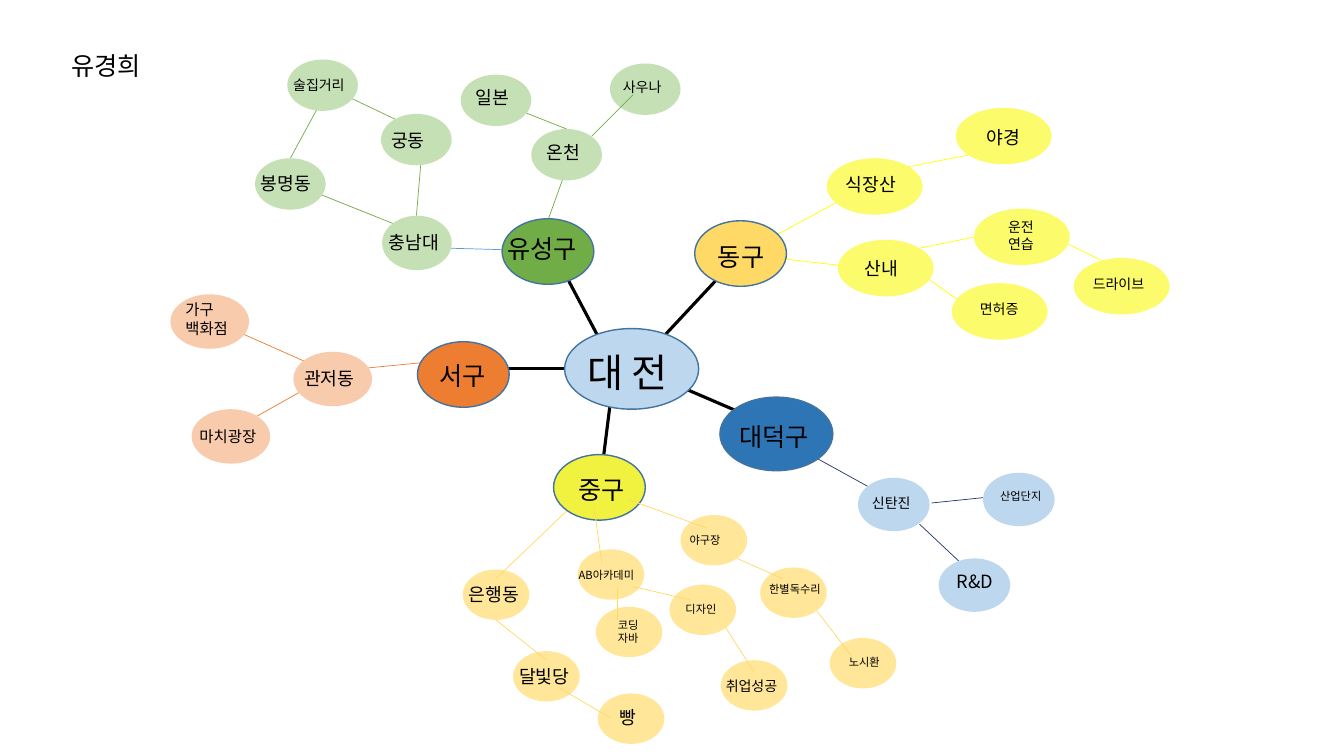
from dataclasses import dataclass
from lxml import etree
from pptx import Presentation
from pptx.dml.color import RGBColor
from pptx.enum.shapes import MSO_CONNECTOR, MSO_SHAPE
from pptx.enum.text import MSO_ANCHOR, PP_ALIGN
from pptx.oxml.ns import qn
from pptx.util import Inches, Pt


@dataclass(frozen=True)
class Theme:
    font: str = "Noto Sans CJK KR"
    ink: str = "000000"
    outline: str = "43739E"
    center: str = "BDD7EE"
    accent: str = "5B9BD5"
    # Type sizes
    huge: int = 28
    hub: int = 18
    large: int = 13
    medium: int = 11
    small: int = 10
    tiny: int = 8
    # Line widths
    spoke: float = 2.25
    border: float = 1
    link: float = 0.5


@dataclass(frozen=True)
class Box:
    """A region whose grid starts at its top left corner, 100 cells to the inch."""
    left: int
    top: int

    def x(self, column):
        return Inches((self.left + column) / 100)

    def y(self, row):
        return Inches((self.top + row) / 100)


@dataclass(frozen=True)
class Palette:
    hub: str
    leaf: str
    link: str


T = Theme()
H, L, M, S, XS = T.hub, T.large, T.medium, T.small, T.tiny
prs = Presentation()
prs.slide_width, prs.slide_height = Inches(13.33), Inches(7.5)
slide = prs.slides.add_slide(prs.slide_layouts[5])


def write(frame, text, size, align):
    frame.word_wrap = True
    frame.vertical_anchor = MSO_ANCHOR.TOP
    frame.margin_left = frame.margin_right = Inches(0.1)
    frame.margin_top = frame.margin_bottom = Inches(0.05)
    for i, line in enumerate(text.split("\n")):
        para = frame.paragraphs[0] if i == 0 else frame.add_paragraph()
        para.alignment = align
        run = para.add_run()
        run.text = line
        run.font.size, run.font.name = Pt(size), T.font
        run.font.color.rgb = RGBColor.from_string(T.ink)
        etree.SubElement(run.font._element, qn("a:ea")).set("typeface", T.font)


def label_size(text, size):
    """Width and height in grid cells that hold the text and its margins."""
    lines = text.split("\n")
    em = size / 72 * 100
    return max(map(len, lines)) * em + 20, len(lines) * em * 1.2 + 10


def link(box, ends, color, weight):
    x1, y1, x2, y2 = ends
    line = slide.shapes.add_connector(
        MSO_CONNECTOR.STRAIGHT, box.x(x1), box.y(y1), box.x(x2), box.y(y2))
    line.line.color.rgb = RGBColor.from_string(color)
    line.line.width = Pt(weight)
    etree.SubElement(line._element.spPr, qn("a:effectLst"))


def node(box, spec, size, fill, is_hub=False):
    """Ellipse at (x, y) with its label shifted by (dx, dy)."""
    text, x, y, dx, dy, points = spec
    width, height = size
    oval = slide.shapes.add_shape(
        MSO_SHAPE.OVAL, box.x(x), box.y(y), Inches(width / 100), Inches(height / 100))
    oval.shadow.inherit = False
    oval.fill.solid()
    oval.fill.fore_color.rgb = RGBColor.from_string(fill)
    if is_hub:
        oval.line.color.rgb = RGBColor.from_string(T.outline)
        oval.line.width = Pt(T.border)
    else:
        oval.line.fill.background()
    w, h = label_size(text, points)
    label = slide.shapes.add_textbox(
        box.x(x + dx), box.y(y + dy), Inches(w / 100), Inches(h / 100))
    write(label.text_frame, text, points, PP_ALIGN.CENTER if is_hub else PP_ALIGN.LEFT)


def name_title(box):
    title = slide.shapes.title
    text = "유경희"
    w, h = label_size(text, H)
    title.left, title.top = box.x(0), box.y(0)
    title.width, title.height = Inches(w / 100), Inches(h / 100)
    write(title.text_frame, text, H, PP_ALIGN.LEFT)


def center(box):
    for ends in [(97, 41, 60, -29), (66, 66, -6, 66), (106, 94, 97, 166),
                 (164, 79, 243, 113), (158, 34, 214, -26)]:
        link(box, ends, T.ink, T.spoke)
    node(box, ("대 전", 60, 26, -6, 15, T.huge), (133, 80), T.center, True)


def branch(box, palette, hub, hub_size, leaf_size, leaves, links, links_on_top=()):
    for ends in links:
        link(box, ends, palette.link, T.link)
    node(box, hub, hub_size, palette.hub, True)
    for leaf in leaves:
        node(box, leaf, leaf_size, palette.leaf)
    for ends in links_on_top:
        link(box, ends, palette.link, T.link)


HUB = (91, 65)

name_title(Box(61, 45))
center(Box(500, 300))

# Yuseong-gu, upper left
yuseong = Box(200, 0)
link(yuseong, (309, 248, 237, 246), T.accent, T.link)
branch(
    yuseong, Palette("70AD47", "C5E0B4", "70AD47"),
    ("유성구", 298, 217, -8, 10, H), HUB, (70, 51),
    [("온천", 327, 128, 5, 7, L), ("사우나", 405, 63, 3, 10, S),
     ("일본", 257, 74, 5, 7, L), ("봉명동", 53, 157, -4, 9, L),
     ("궁동", 178, 113, 0, 10, L), ("술집거리", 85, 59, -4, 12, S)],
    [(344, 217, 362, 167), (198, 225, 108, 189), (213, 214, 218, 155),
     (88, 157, 120, 98), (204, 124, 141, 94), (362, 128, 309, 107)],
    [(387, 135, 428, 94)])
node(yuseong, ("충남대", 179, 214, -3, 11, L), (69, 54), "C5E0B4")

# Dong-gu, upper right
branch(
    Box(600, 100), Palette("FFD966", "FBFB6B", "FFFF00"),
    ("동구", 89, 119, 11, 15, H), HUB, (95, 56),
    [("식장산", 220, 57, 9, 10, L), ("야경", 348, 7, 21, 13, L),
     ("산내", 231, 138, 17, 12, L), ("운전\n연습", 366, 107, 24, 5, S),
     ("면허증", 344, 181, 18, 12, S), ("드라이브", 465, 156, 9, 12, S)],
    [(161, 138, 235, 98), (293, 67, 375, 51), (170, 156, 248, 165),
     (307, 167, 362, 206), (313, 146, 382, 132), (443, 134, 512, 168)])

# Seo-gu, left
branch(
    Box(100, 200), Palette("ED7D31", "F8CBAD", "ED7D31"),
    ("서구", 314, 139, 10, 14, H), HUB, (78, 54),
    [("관저동", 191, 149, 1, 10, L), ("가구\n백화점", 69, 92, 5, 1, M),
     ("마치광장", 90, 206, -2, 13, M)],
    [(327, 159, 255, 166), (201, 187, 144, 219), (210, 162, 129, 126)])

# Daedeok-gu, lower right
branch(
    Box(700, 300), Palette("2E75B6", "BDD7EE", "203864"),
    ("대덕구", 14, 94, 6, 19, H), (112, 73), (71, 53),
    [("신탄진", 151, 174, 4, 12, S), ("산업단지", 275, 169, 7, 12, XS),
     ("R&D", 231, 254, 8, 7, L)],
    [(98, 148, 167, 186), (212, 220, 262, 267), (224, 199, 282, 193)])

# Jung-gu, bottom
branch(
    Box(400, 400), Palette("F1F13F", "FFE699", "FFD966"),
    ("중구", 149, 51, 13, 15, H), HUB, (66, 50),
    [("은행동", 59, 165, -4, 9, L), ("달빛당", 109, 246, -4, 9, L),
     ("AB아카데미", 173, 145, -9, 14, XS), ("취업성공", 315, 255, -5, 12, S),
     ("빵", 193, 288, 12, 8, L), ("디자인", 264, 180, 6, 13, XS),
     ("코딩\n자바", 191, 202, 12, 6, XS), ("야구장", 275, 111, -1, 13, XS),
     ("한별독수리", 354, 163, -1, 10, XS), ("노시환", 423, 233, 9, 12, XS)],
    [],
    [(162, 107, 92, 174), (189, 102, 197, 159), (222, 95, 301, 124),
     (331, 154, 376, 174), (410, 206, 444, 250), (212, 183, 212, 215),
     (228, 182, 284, 195), (320, 223, 348, 267), (92, 215, 142, 255),
     (154, 282, 205, 312)])

prs.save("out.pptx")
